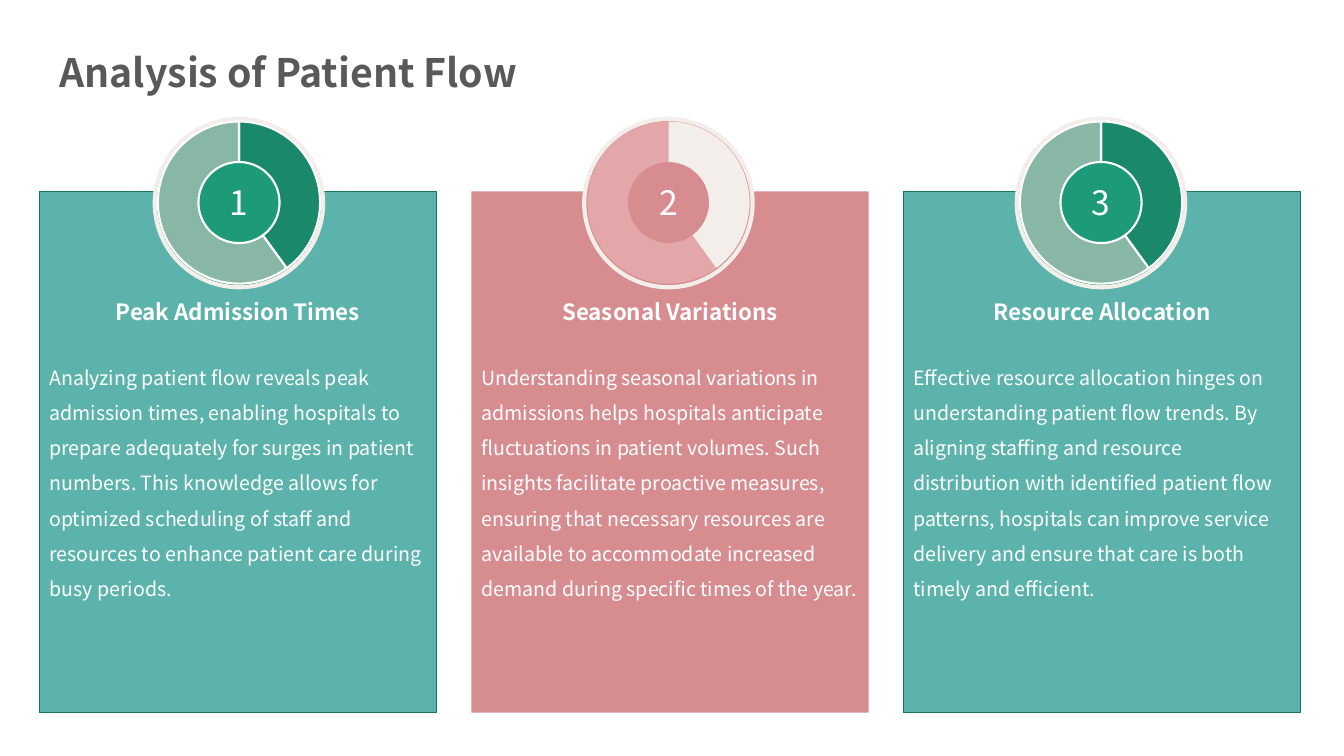
from pptx import Presentation
from pptx.chart.data import CategoryChartData
from pptx.dml.color import RGBColor
from pptx.enum.chart import XL_CHART_TYPE as ChartType
from pptx.enum.shapes import MSO_SHAPE as Shape
from pptx.enum.text import MSO_ANCHOR as Anchor, MSO_AUTO_SIZE as AutoSize, PP_ALIGN as Align
from pptx.oxml import parse_xml
from pptx.oxml.ns import nsdecls, qn
from pptx.util import Inches, Pt

WHITE = RGBColor(0xFF, 0xFF, 0xFF)
BLACK = RGBColor(0x00, 0x00, 0x00)
GREY = RGBColor(0x59, 0x59, 0x59)
CREAM = RGBColor(0xF3, 0xEE, 0xEA)
TEAL = RGBColor(0x5C, 0xB3, 0xAB)
EDGE = RGBColor(0x17, 0x78, 0x5E)
GREEN = RGBColor(0x1D, 0x9A, 0x78)
DARK_GREEN = RGBColor(0x1A, 0x89, 0x6B)
SAGE = RGBColor(0x88, 0xB8, 0xA5)
ROSE = RGBColor(0xD7, 0x8D, 0x8F)
PINK = RGBColor(0xE4, 0xA7, 0xA9)

GREEN_THEME = {"card": TEAL, "edge": EDGE, "dial": GREEN,
               "slices": (DARK_GREEN, SAGE), "slice_line": WHITE}
ROSE_THEME = {"card": ROSE, "edge": None, "dial": ROSE,
              "slices": (CREAM, PINK), "slice_line": None}

CARD_LEFT, CARD_PITCH, CARD_WIDTH = 0.39, 4.285, 3.94
DIAL_SIZE, RING_SIZE = 1.67, 1.61
CHART_WIDTH, CHART_HEIGHT = 2.83, 1.88

CARDS = [
    ("Peak Admission Times",
     "Analyzing patient flow reveals peak admission times, enabling hospitals to prepare "
     "adequately for surges in patient numbers. This knowledge allows for optimized "
     "scheduling of staff and resources to enhance patient care during busy periods.",
     2.37, GREEN_THEME),
    ("Seasonal Variations",
     "Understanding seasonal variations in admissions helps hospitals anticipate "
     "fluctuations in patient volumes. Such insights facilitate proactive measures, "
     "ensuring that necessary resources are available to accommodate increased demand "
     "during specific times of the year.",
     6.63, ROSE_THEME),
    ("Resource Allocation",
     "Effective resource allocation hinges on understanding patient flow trends. By "
     "aligning staffing and resource distribution with identified patient flow patterns, "
     "hospitals can improve service delivery and ensure that care is both timely and "
     "efficient.",
     10.92, GREEN_THEME),
]


class SlideBuilder:
    font = "Noto Sans CJK SC"

    def __init__(self, presentation):
        self.slide = presentation.slides.add_slide(presentation.slide_layouts[5])

    def style_text(self, shape, text, size, color, bold=False, align=Align.LEFT,
                   line_spacing=1.0, space_before=0, wrap=True):
        frame = shape.text_frame
        frame.text = text
        frame.word_wrap = wrap
        frame.auto_size = AutoSize.SHAPE_TO_FIT_TEXT
        frame.vertical_anchor = Anchor.TOP
        paragraph = frame.paragraphs[0]
        paragraph.alignment = align
        paragraph.line_spacing = line_spacing
        paragraph.space_before = Pt(space_before)
        font = paragraph.runs[0].font
        font.name, font.size, font.bold = self.font, Pt(size), bold
        font.color.rgb = color

    def title(self, text, left, top, width, height):
        shape = self.slide.shapes.title
        shape.left, shape.top = Inches(left), Inches(top)
        shape.width, shape.height = Inches(width), Inches(height)
        self.style_text(shape, text, 28, GREY, bold=True)

    def text(self, text, left, top, width, height, size, **style):
        box = self.slide.shapes.add_textbox(
            Inches(left), Inches(top), Inches(width), Inches(height))
        self.style_text(box, text, size, WHITE, **style)

    def shape(self, kind, left, top, width, height, fill, line, line_width):
        shape = self.slide.shapes.add_shape(
            kind, Inches(left), Inches(top), Inches(width), Inches(height))
        shape.shadow.inherit = False
        shape.fill.solid()
        shape.fill.fore_color.rgb = fill
        self.outline(shape.line, line, line_width)

    def outline(self, line, color, width):
        if color is None:
            line.fill.background()
        else:
            line.color.rgb = color
            line.width = Pt(width)

    def doughnut(self, left, top, theme):
        data = CategoryChartData()
        data.categories = ["1", "2"]
        data.add_series("Series 1", (40, 60))
        chart = self.slide.shapes.add_chart(
            ChartType.DOUGHNUT, Inches(left), Inches(top),
            Inches(CHART_WIDTH), Inches(CHART_HEIGHT), data).chart
        chart.has_legend = False
        chart.has_title = False
        chart.font.name, chart.font.size = "Calibri", Pt(10)
        chart.font.color.rgb = BLACK
        plot = chart.plots[0]
        plot.vary_by_categories = True
        for index, color in enumerate(theme["slices"]):
            slice_format = plot.series[0].points[index].format
            slice_format.fill.solid()
            slice_format.fill.fore_color.rgb = color
            self.outline(slice_format.line, theme["slice_line"], 1.5)
        plot_area = chart.element.find(".//" + qn("c:plotArea"))
        plot_area.find(".//" + qn("c:holeSize")).set("val", "75")
        self.place_ring(plot_area)

    def place_ring(self, plot_area):
        width, height = RING_SIZE / CHART_WIDTH, RING_SIZE / CHART_HEIGHT
        bounds = {"x": (1 - width) / 2, "y": (1 - height) / 2, "w": width, "h": height}
        sizes = "".join(f'<c:{name} val="{value:.3f}"/>' for name, value in bounds.items())
        layout = parse_xml(
            f'<c:layout {nsdecls("c")}><c:manualLayout><c:layoutTarget val="inner"/>'
            f'<c:xMode val="edge"/><c:yMode val="edge"/>{sizes}'
            f'</c:manualLayout></c:layout>')
        for old_layout in plot_area.findall(qn("c:layout")):
            plot_area.remove(old_layout)
        plot_area.insert(0, layout)

    def card(self, number, heading, body, center, theme):
        left = CARD_LEFT + (number - 1) * CARD_PITCH
        self.shape(Shape.RECTANGLE, left, 1.9, CARD_WIDTH, 5.17,
                   theme["card"], theme["edge"], 0.5)
        self.shape(Shape.OVAL, center - DIAL_SIZE / 2, 1.18, DIAL_SIZE, DIAL_SIZE,
                   theme["dial"], CREAM, 3)
        self.doughnut(center - CHART_WIDTH / 2, 1.07, theme)
        self.text(str(number), center - 0.195, 1.76, 0.39, 0.5, 24,
                  align=Align.CENTER, wrap=False)
        self.text(heading, left, 2.86, CARD_WIDTH, 0.4, 16, bold=True,
                  align=Align.CENTER, line_spacing=1.2, space_before=3.2)
        self.text(body, left, 3.46, CARD_WIDTH, 1.53, 14,
                  line_spacing=1.5, space_before=2.8)


def main():
    presentation = Presentation()
    presentation.slide_width, presentation.slide_height = Inches(13.33), Inches(7.5)
    builder = SlideBuilder(presentation)
    builder.title("Analysis of Patient Flow", 0.49, 0.43, 9.45, 0.57)
    for number, card in enumerate(CARDS, 1):
        builder.card(number, *card)
    presentation.save("out.pptx")


if __name__ == "__main__":
    main()
